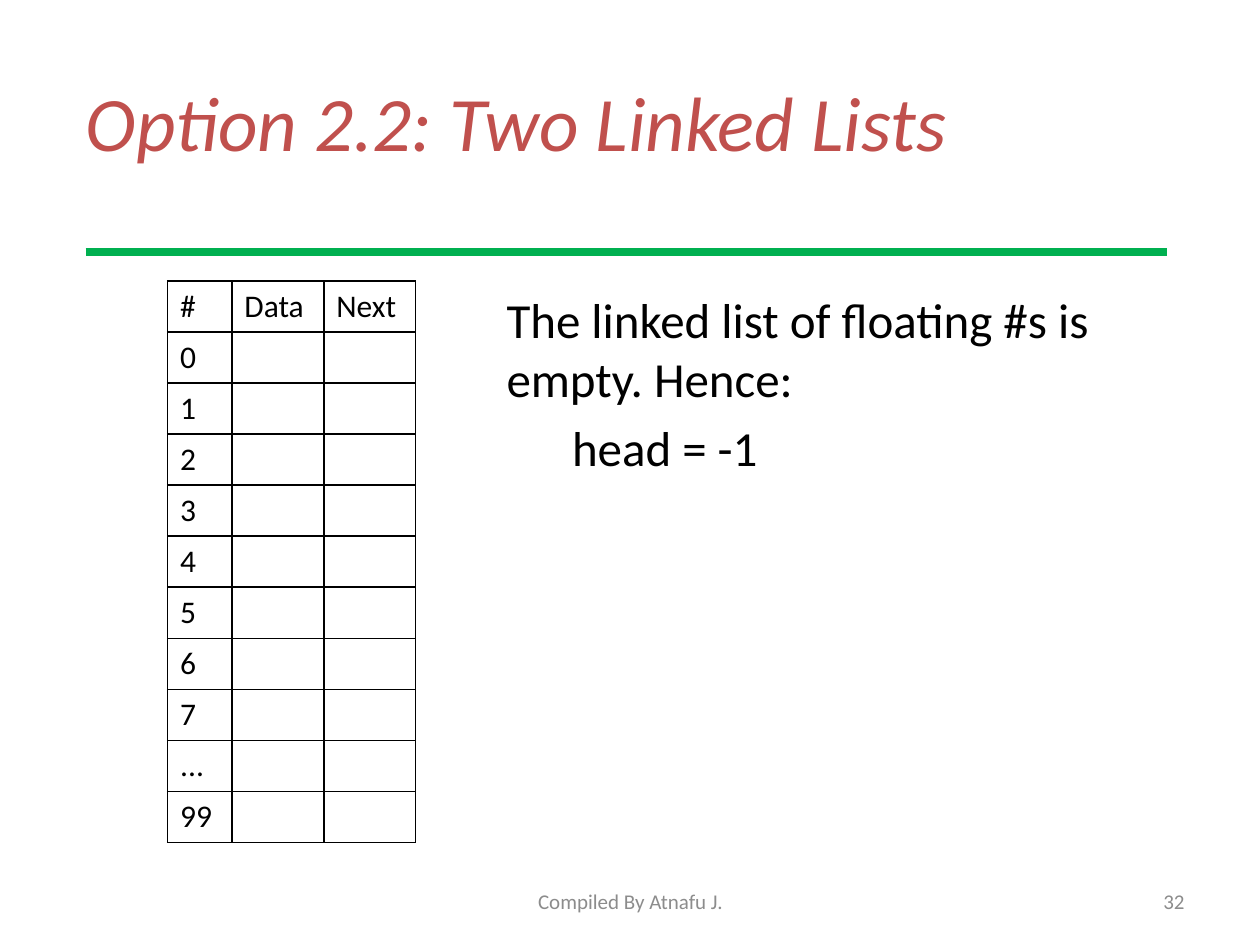
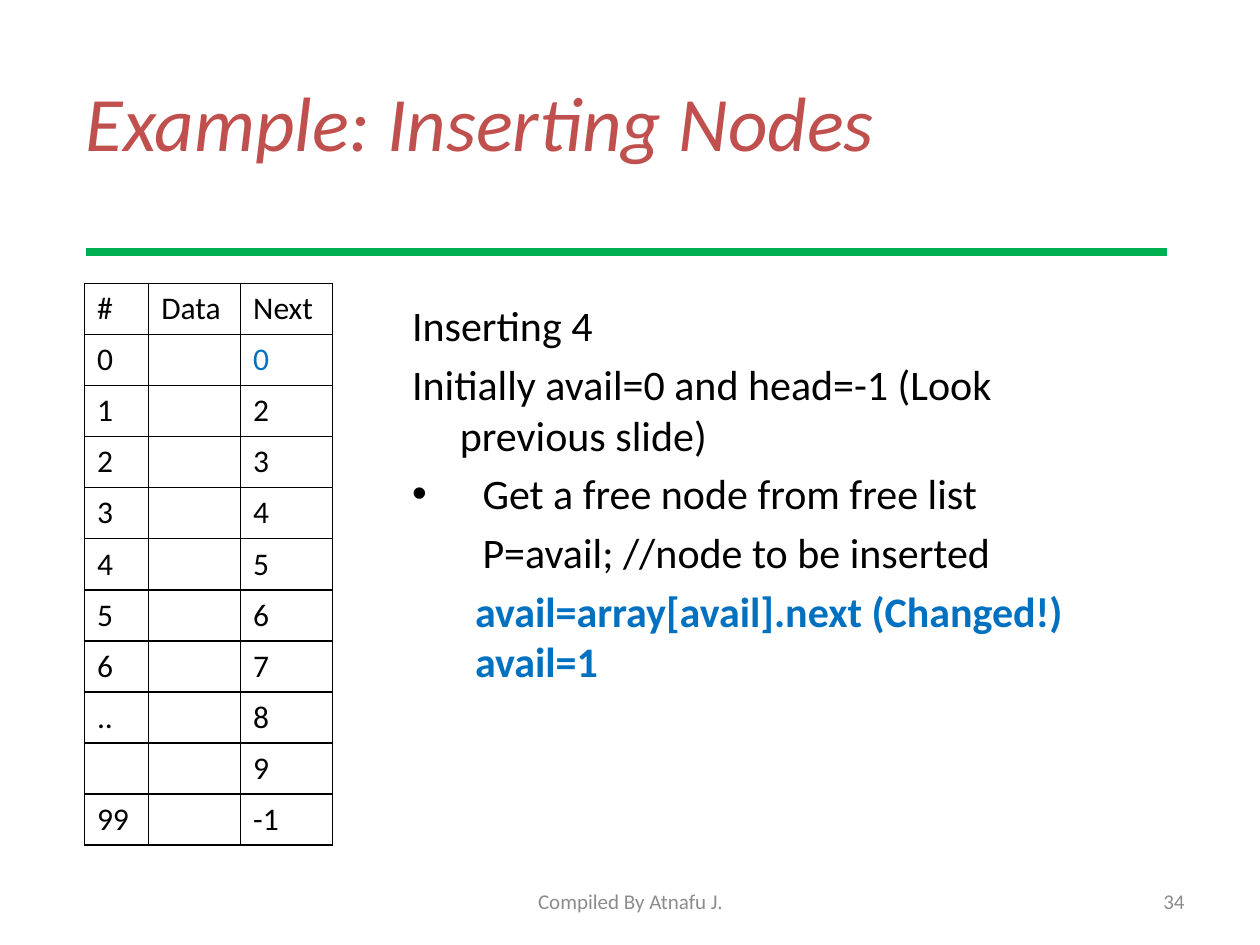
from lxml.etree import SubElement
from pptx import Presentation
from pptx.dml.color import RGBColor
from pptx.enum.shapes import MSO_CONNECTOR
from pptx.enum.text import MSO_ANCHOR, MSO_AUTO_SIZE, PP_ALIGN
from pptx.oxml import parse_xml
from pptx.oxml.ns import nsdecls, qn
from pptx.util import Pt

PX = 9144
FONT = "Calibri"
BLACK = RGBColor(0x00, 0x00, 0x00)
RED = RGBColor(0xC0, 0x50, 0x4D)
GREEN = RGBColor(0x00, 0xB0, 0x50)
BLUE = RGBColor(0x00, 0x70, 0xC0)
GREY = RGBColor(0x8C, 0x8C, 0x8C)

TITLE_FORMAT = {"size": Pt(44), "italic": True}
FOOTER_FORMAT = {"size": Pt(12)}
CELL_FORMAT = {"size": Pt(18)}
TITLE_BOX = (58, 33, 900, 125)
FOOTER_BOX = (342, 695, 317, 40)
NUMBER_BOX = (717, 695, 233, 40)
RULE = (68, 200, 926, 200)
COLUMNS = (51, 73, 73)
TABLE_HEIGHT = 446
HEADINGS = ("#", "Data", "Next")


def emu(box):
    return [length * PX for length in box]


def place(shape, box):
    for name, value in zip(("left", "top", "width", "height"), emu(box)):
        setattr(shape, name, value)


def write(para, text, colour, formats):
    span = para.add_run()
    span.text = text
    span.font.name = FONT
    span.font.color.rgb = colour
    for name, value in formats.items():
        setattr(span.font, name, value)


def add_title(page, box, text):
    title = page.shapes.title
    place(title, box)
    frame = title.text_frame
    frame.auto_size = MSO_AUTO_SIZE.NONE
    frame.vertical_anchor = MSO_ANCHOR.MIDDLE
    para = frame.paragraphs[0]
    para.alignment = PP_ALIGN.LEFT
    write(para, text, RED, TITLE_FORMAT)


def add_rule(page, ends):
    rule = page.shapes.add_connector(MSO_CONNECTOR.STRAIGHT, *emu(ends))
    rule.line.color.rgb = GREEN
    rule.line.width = Pt(4.25)
    SubElement(rule._element.spPr, qn("a:effectLst"))


def add_footer(page, box, text, alignment):
    frame = page.shapes.add_textbox(*emu(box)).text_frame
    frame.word_wrap = True
    frame.vertical_anchor = MSO_ANCHOR.MIDDLE
    para = frame.paragraphs[0]
    para.alignment = alignment
    write(para, text, GREY, FOOTER_FORMAT)


def border(cell):
    properties = cell._tc.get_or_add_tcPr()
    for position, side in enumerate(("lnL", "lnR", "lnT", "lnB")):
        properties.insert(position, parse_xml(
            f'<a:{side} {nsdecls("a")} w="12700"><a:solidFill>'
            f'<a:srgbClr val="{BLACK}"/></a:solidFill></a:{side}>'))


def add_node_table(page, left, top, indexes, nexts, changed_row=None):
    rows = [HEADINGS] + [(index, "", link) for index, link in zip(indexes, nexts)]
    box = (left, top, sum(COLUMNS), TABLE_HEIGHT)
    table = page.shapes.add_table(len(rows), len(COLUMNS), *emu(box)).table
    table.first_row = table.horz_banding = False
    for column, width in zip(table.columns, COLUMNS):
        column.width = width * PX
    for row_number, values in enumerate(rows):
        table.rows[row_number].height = TABLE_HEIGHT * PX // len(rows)
        for column_number, text in enumerate(values):
            cell = table.cell(row_number, column_number)
            cell.fill.background()
            border(cell)
            if text:
                changed = row_number == changed_row and column_number == 2
                write(cell.text_frame.paragraphs[0], text,
                      BLUE if changed else BLACK, CELL_FORMAT)


def add_body(page, box, size, lines, right_inset=10):
    body = page.placeholders[1]
    place(body, box)
    frame = body.text_frame
    frame.auto_size = MSO_AUTO_SIZE.NONE
    frame.margin_right = right_inset * PX
    for number, (text, margin, indent, style) in enumerate(lines):
        para = frame.add_paragraph() if number else frame.paragraphs[0]
        para.level = style.get("level", 0)
        properties = para._p.get_or_add_pPr()
        properties.set("marL", str(margin * PX))
        properties.set("indent", str(indent * PX))
        if "bullet" in style:
            SubElement(properties, qn("a:buChar"), char=style["bullet"])
        else:
            SubElement(properties, qn("a:buNone"))
        if not number:
            para.space_before = Pt(0)
        write(para, text, style.get("colour", BLACK),
              {"size": Pt(size), "bold": style.get("bold", False)})


def add_page(deck, title, number):
    page = deck.slides.add_slide(deck.slide_layouts[1])
    add_title(page, TITLE_BOX, title)
    add_rule(page, RULE)
    add_footer(page, NUMBER_BOX, number, PP_ALIGN.RIGHT)
    add_footer(page, FOOTER_BOX, "Compiled By Atnafu J.", PP_ALIGN.CENTER)
    return page


def build_empty_list(deck):
    page = add_page(deck, "Option 2.2: Two Linked Lists", "32")
    indexes = [str(index) for index in range(8)] + ["...", "99"]
    add_node_table(page, 133, 223, indexes, [""] * len(indexes))
    add_body(page, (392, 225, 497, 420), 28, [
        ("The linked list of floating #s is empty. Hence:", 0, 0, {}),
        ("head = -1", 52, 0, {}),
    ])


def build_insertion(deck):
    page = add_page(deck, "Example: Inserting Nodes", "34")
    indexes = [str(index) for index in range(7)] + ["..", "", "99"]
    nexts = ["0"] + [str(link) for link in range(2, 10)] + ["-1"]
    add_node_table(page, 67, 225, indexes, nexts, changed_row=1)
    add_body(page, (317, 233, 633, 458), 24, [
        ("Inserting 4", 38, -38, {}),
        ("Initially avail=0 and head=-1 (Look previous slide)", 38, -38, {}),
        ("Get a free node from free list", 56, -56, {"bullet": "•"}),
        ("P=avail; //node to be inserted", 56, 0, {}),
        ("avail=array[avail].next (Changed!) avail=1", 50, 0,
         {"level": 1, "colour": BLUE, "bold": True}),
    ], right_inset=80)


def main():
    deck = Presentation()
    deck.slide_width, deck.slide_height = emu((1000, 750))
    build_empty_list(deck)
    build_insertion(deck)
    deck.save("out.pptx")


if __name__ == "__main__":
    main()
